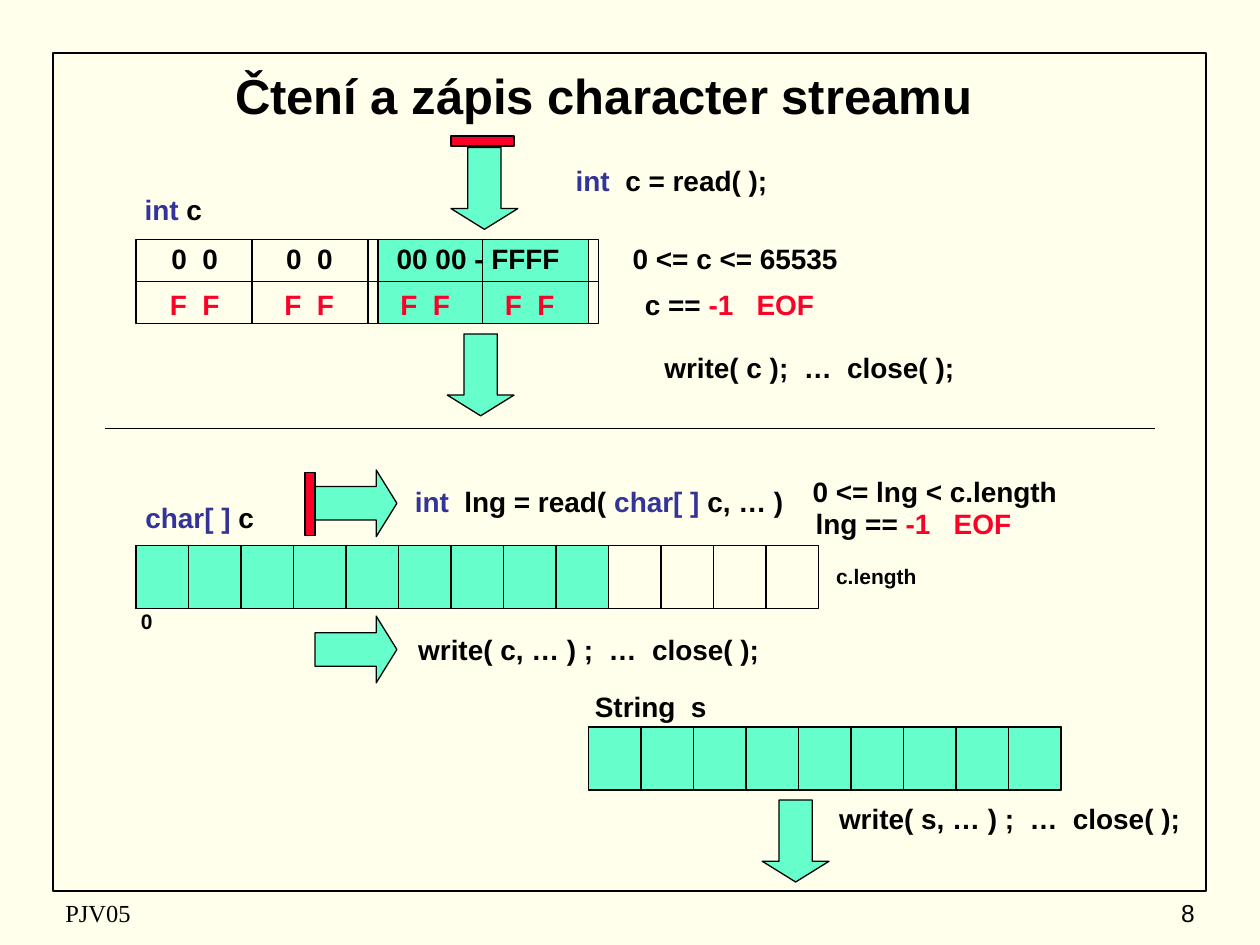
"""Build the slide on reading and writing a character stream."""
from pptx import Presentation
from pptx.dml.color import RGBColor
from pptx.enum import shapes, text
from pptx.oxml import parse_xml
from pptx.oxml.ns import nsdecls
from pptx.util import Inches, Pt

THEME = {
    "paper": "FFFFEB", "ink": "000000", "mint": "66FFCC",
    "red": "FC0128", "blue": "333399",
    "title": 28, "body": 16, "foot": 14, "small": 12,
    "font": "Arial", "serif": "Times New Roman", "line": 0.75,
}
SLOT = 5 / 12
ROW = 1 / 3
WORD_X, WORD_Y, WORD_W = 1.08, 1.9, 3.67
CHAR_X, CHAR_W = 3, 1.67

STRIPS = [
    {"x": 1.08, "y": 4.33, "slots": 13, "filled": 9},
    {"x": 4.67, "y": 5.77, "slots": 9, "filled": 9},
]
DOWN_ARROWS = [(3.58, 1.17), (3.55, 2.65), (6.05, 6.35)]
RIGHT_ARROWS = [(2.5, 3.73), (2.5, 4.89)]
STOP_BARS = [(3.58, 1.08, 0.5, 0.08), (2.42, 3.75, 0.08, 0.5)]

EOF = ("-1   EOF", "red")
LABELS = [
    (1, 1.48, 0.75, [("int ", "blue"), ("c", "ink")]),
    (4.33, 1.25, 2, [("int ", "blue"), (" c = read( );", "ink")]),
    (2.92, 1.87, 1.75, [("00 00 - FFFF", "ink")]),
    (4.75, 1.87, 2.17, [("0 <= c <= 65535", "ink")]),
    (4.75, 2.23, 2.08, [("c == ", "ink"), EOF]),
    (4.83, 2.73, 3.25, [("write( c );  …  close( ); ", "ink")]),
    (0.92, 3.92, 1.33, [("char[ ] ", "blue"), ("c", "ink")]),
    (3.17, 3.8, 3.17, [("int ", "blue"), (" lng = read( ", "ink"),
                       ("char[ ] ", "blue"), ("c, … )", "ink")]),
    (6.17, 3.72, 2.5, [("0 <= lng < c.length", "ink")]),
    (6.25, 3.97, 2, [("lng == ", "ink"), EOF]),
    (2.83, 4.97, 3.75, [("write( c, … ) ;  …  close( ); ", "ink")]),
    (4.5, 5.42, 1.33, [("String  s", "ink")]),
    (6.17, 6.31, 3.75, [("write( s, … ) ;  …  close( ); ", "ink")]),
]
BYTES = [
    (1.87, "0  0", "ink", [1.17, 2.08]),
    (2.23, "F  F", "red", [1.17, 2.08, 3, 3.83]),
]
SMALL_LABELS = [(1, 4.78, 0.33, "0"), (6.33, 4.42, 1.25, "c.length")]


def color(name):
    return RGBColor.from_string(THEME[name])


def add_shape(s, kind, x, y, w, h, fill=None, width=THEME["line"]):
    sp = s.shapes.add_shape(kind, Inches(x), Inches(y), Inches(w), Inches(h))
    sp.shadow.inherit = False
    if fill:
        sp.fill.solid()
        sp.fill.fore_color.rgb = color(fill)
    else:
        sp.fill.background()
    sp.line.color.rgb = color("ink")
    sp.line.width = Pt(width)
    return sp


def add_rect(s, *args, **kwargs):
    return add_shape(s, shapes.MSO_SHAPE.RECTANGLE, *args, **kwargs)


def add_arrow(s, kind, x, y, w, h):
    sp = add_shape(s, kind, x, y, w, h, "mint")
    sp.adjustments[0] = 0.5
    sp.adjustments[1] = 0.31


def add_line(s, x1, y1, x2, y2):
    ln = s.shapes.add_connector(shapes.MSO_CONNECTOR.STRAIGHT,
                                Inches(x1), Inches(y1), Inches(x2), Inches(y2))
    ln.line.color.rgb = color("ink")
    ln.line.width = Pt(THEME["line"])
    ln._element.spPr.append(parse_xml(f"<a:effectLst {nsdecls('a')}/>"))


def add_text(s, x, y, w, h, runs, size="body", bold=True, font="font",
             align=text.PP_ALIGN.CENTER, anchor=text.MSO_ANCHOR.TOP):
    sp = s.shapes.add_textbox(Inches(x), Inches(y), Inches(w), Inches(h))
    tf = sp.text_frame
    tf.word_wrap = True
    tf.vertical_anchor = anchor
    p = tf.paragraphs[0]
    p.alignment = align
    p.font.size = Pt(THEME[size])
    p.font.name = THEME[font]
    p.font.bold = bold
    for words, tint in runs:
        r = p.add_run()
        r.text = words
        r.font.color.rgb = color(tint)


def add_strip(s, x, y, slots, filled, h=0.5):
    add_rect(s, x, y, filled * SLOT, h, "mint")
    add_rect(s, x, y, slots * SLOT, h)
    for i in range(1, slots):
        add_line(s, x + i * SLOT, y, x + i * SLOT, y + h)


def add_int_word(s):
    for row in range(2):
        add_rect(s, CHAR_X, WORD_Y + row * ROW, CHAR_W, ROW, "mint")
    add_rect(s, WORD_X, WORD_Y, WORD_W, 2 * ROW)
    for x in (2, 2.92, 3.83):
        add_line(s, x, WORD_Y, x, WORD_Y + 2 * ROW)
    add_line(s, WORD_X, WORD_Y + ROW, WORD_X + WORD_W, WORD_Y + ROW)


def add_frame(s):
    middle = text.MSO_ANCHOR.MIDDLE
    add_rect(s, 0.42, 0.42, 9.15, 6.65, width=1)
    add_text(s, 0.33, 0.42, 8.92, 0.67,
             [("Čtení a zápis character streamu", "ink")], "title", anchor=middle)
    add_text(s, 0.42, 7.08, 3.17, 0.33, [("PJV05", "ink")], "foot", False,
             "serif", text.PP_ALIGN.LEFT, middle)
    add_text(s, 7.5, 7.08, 2.08, 0.33, [("8", "ink")], "foot", False,
             align=text.PP_ALIGN.RIGHT, anchor=middle)


def main():
    prs = Presentation()
    prs.slide_width, prs.slide_height = Inches(10), Inches(7.5)
    s = prs.slides.add_slide(prs.slide_layouts[6])
    s.background.fill.solid()
    s.background.fill.fore_color.rgb = color("paper")
    add_frame(s)
    add_int_word(s)
    add_line(s, 0.83, 3.4, 9.17, 3.4)
    for strip in STRIPS:
        add_strip(s, **strip)
    for x, y in DOWN_ARROWS:
        add_arrow(s, shapes.MSO_SHAPE.DOWN_ARROW, x, y, 0.53, 0.65)
    for x, y in RIGHT_ARROWS:
        add_arrow(s, shapes.MSO_SHAPE.RIGHT_ARROW, x, y, 0.65, 0.53)
    for bar in STOP_BARS:
        add_rect(s, *bar, fill="red")
    for x, y, w, runs in LABELS:
        add_text(s, x, y, w, 0.37, runs)
    for y, words, tint, lefts in BYTES:
        for x in lefts:
            add_text(s, x, y, 0.75, 0.37, [(words, tint)])
    for x, y, w, words in SMALL_LABELS:
        add_text(s, x, y, w, 0.3, [(words, "ink")], "small")
    prs.save("out.pptx")


if __name__ == "__main__":
    main()
